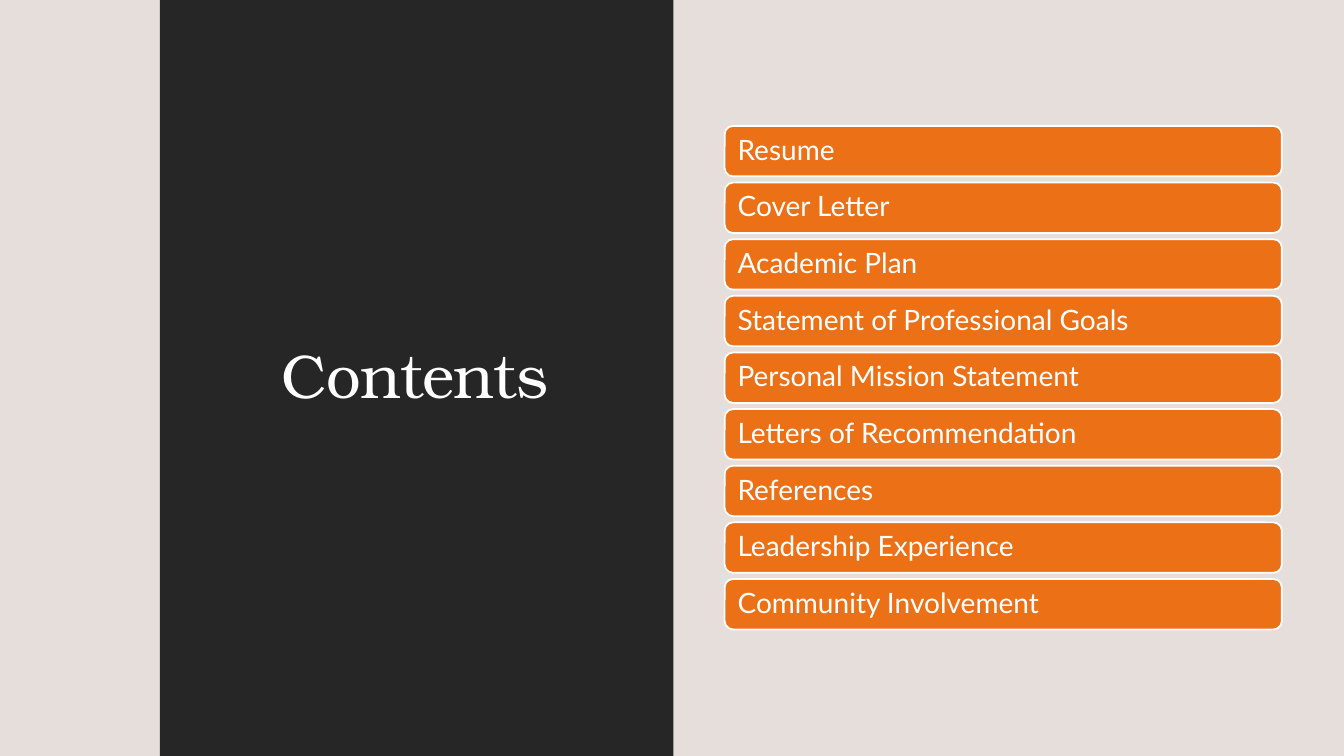
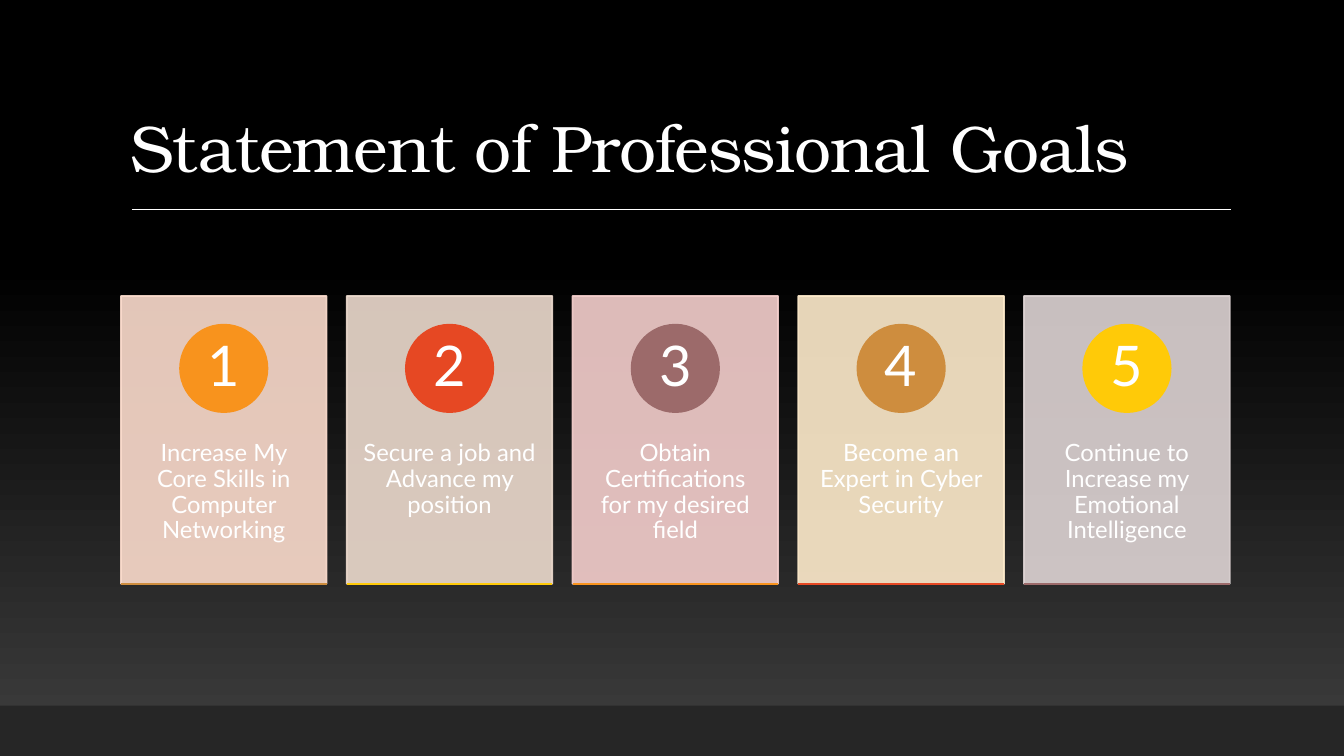
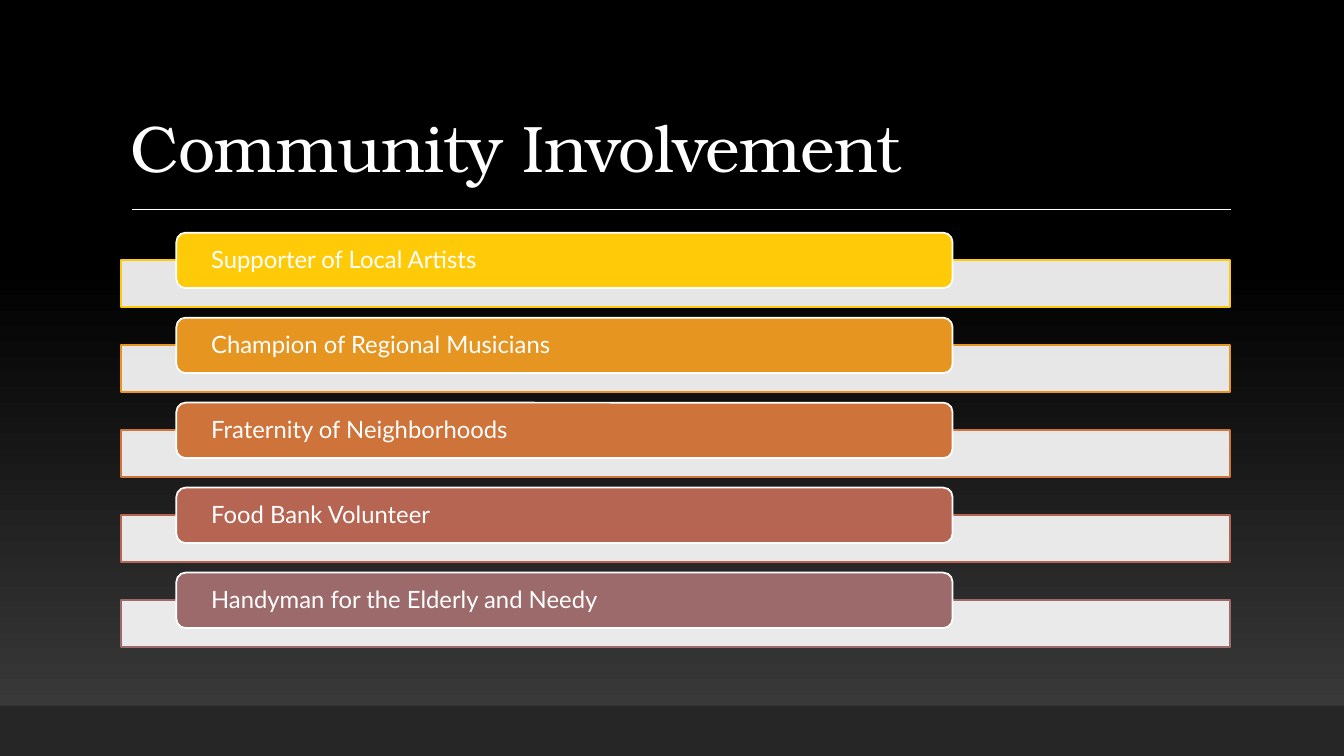
from lxml.etree import SubElement
from pptx import Presentation
from pptx.dml.color import RGBColor
from pptx.enum.shapes import MSO_CONNECTOR, MSO_SHAPE
from pptx.enum.text import MSO_ANCHOR as Anchor, PP_ALIGN as Align
from pptx.oxml.ns import qn
from pptx.util import Pt

WHITE = RGBColor(0xFF, 0xFF, 0xFF)
BLACK = RGBColor(0x00, 0x00, 0x00)
CHARCOAL = RGBColor(0x26, 0x26, 0x26)
GRAY = RGBColor(0x3F, 0x3F, 0x3F)
STONE = RGBColor(0xE5, 0xDE, 0xDB)
PUMPKIN = RGBColor(0xEC, 0x70, 0x16)
ORANGE = RGBColor(0xF8, 0x93, 0x1D)
RED = RGBColor(0xE6, 0x48, 0x23)
MAUVE = RGBColor(0x9C, 0x6A, 0x6A)
BRONZE = RGBColor(0xCE, 0x8D, 0x3E)
YELLOW = RGBColor(0xFF, 0xCA, 0x08)
AMBER = RGBColor(0xE6, 0x95, 0x20)
COPPER = RGBColor(0xCE, 0x73, 0x39)
BRICK = RGBColor(0xB5, 0x65, 0x51)
PEACH = RGBColor(0xFC, 0xDC, 0xCD)
SAND = RGBColor(0xED, 0xDB, 0xCE)
PINK = RGBColor(0xF5, 0xCF, 0xCD)
CREAM = RGBColor(0xFF, 0xEC, 0xCC)
LILAC = RGBColor(0xDE, 0xD4, 0xD4)

TITLE_FONT, BODY_FONT = "TeX Gyre Bonum", "Lato"
SLIDE_WIDTH, SLIDE_HEIGHT = 960, 540
CONTENT_LEFT, CONTENT_WIDTH = 86.4, 792
TITLE_INSETS = (7.2, 3.6, 7.2, 3.6)
OUTLINE = 1.25

CONTENTS = [
    "Resume",
    "Cover Letter",
    "Academic Plan",
    "Statement of Professional Goals",
    "Personal Mission Statement",
    "Letters of Recommendation",
    "References",
    "Leadership Experience",
    "Community Involvement",
]

# Text, card colour, circle colour, bottom line colour
GOALS = [
    ("Increase My Core Skills in Computer Networking", PEACH, ORANGE, BRONZE),
    ("Secure a job and Advance my position", SAND, RED, YELLOW),
    ("Obtain Certifications for my desired field", PINK, MAUVE, ORANGE),
    ("Become an Expert in Cyber Security", CREAM, BRONZE, RED),
    ("Continue to Increase my Emotional Intelligence", LILAC, YELLOW, MAUVE),
]

ACTIVITIES = [
    ("Supporter of Local Artists", YELLOW),
    ("Champion of Regional Musicians", AMBER),
    ("Fraternity of Neighborhoods", COPPER),
    ("Food Bank Volunteer", BRICK),
    ("Handyman for the Elderly and Needy", MAUVE),
]


def add_box(slide, kind, left, top, width, height, fill, line=None):
    shape = slide.shapes.add_shape(kind, Pt(left), Pt(top), Pt(width), Pt(height))
    shape.shadow.inherit = False
    shape.fill.solid()
    shape.fill.fore_color.rgb = fill
    if line is None:
        shape.line.fill.background()
    else:
        shape.line.color.rgb = line
        shape.line.width = Pt(OUTLINE)
    return shape


def fade(properties):
    """Make every colour inside the XML element 90% opaque."""
    for color in list(properties.iter(qn("a:srgbClr"))):
        SubElement(color, qn("a:alpha")).set("val", "90000")


def add_line(slide, left, right, y, color, width):
    line = slide.shapes.add_connector(
        MSO_CONNECTOR.STRAIGHT, Pt(left), Pt(y), Pt(right), Pt(y))
    line.line.color.rgb = color
    line.line.width = Pt(width)
    SubElement(line._element.spPr, qn("a:effectLst"))


def write(shape, text, size, font=BODY_FONT, align=Align.LEFT,
          anchor=Anchor.MIDDLE, insets=(0, 0, 0, 0)):
    """Put one white paragraph in the shape; insets are left, top, right, bottom."""
    frame = shape.text_frame
    frame.word_wrap = True
    frame.vertical_anchor = anchor
    (frame.margin_left, frame.margin_top,
     frame.margin_right, frame.margin_bottom) = map(Pt, insets)
    paragraph = frame.paragraphs[0]
    paragraph.alignment = align
    paragraph.line_spacing = 0.9
    run = paragraph.add_run()
    run.text = text
    run.font.name = font
    run.font.size = Pt(size)
    run.font.color.rgb = WHITE
    return run


def add_title(slide, text, size, left, top, width, height, align, anchor):
    box = slide.shapes.add_textbox(Pt(left), Pt(top), Pt(width), Pt(height))
    run = write(box, text, size, TITLE_FONT, align, anchor, TITLE_INSETS)
    run._r.get_or_add_rPr().set("spc", "-50")


def add_slide(presentation):
    return presentation.slides.add_slide(presentation.slide_layouts[6])


def add_dark_slide(presentation, title):
    """Add a slide with the dark gradient, ruled title and footer band."""
    slide = add_slide(presentation)
    fill = slide.background.fill
    fill.gradient()
    fill.gradient_angle = 90
    for stop, position, color in zip(fill.gradient_stops, (0, 0.65), (GRAY, BLACK)):
        stop.position = position
        stop.color.rgb = color
    add_title(slide, title, 47, CONTENT_LEFT, 22.3, CONTENT_WIDTH, 114.5,
              Align.LEFT, Anchor.BOTTOM)
    add_line(slide, 94.3, 879, 149.6, WHITE, 1)
    add_box(slide, MSO_SHAPE.RECTANGLE, 0, 504, SLIDE_WIDTH, 36, CHARCOAL)
    return slide


def build_contents(presentation):
    slide = add_slide(presentation)
    slide.background.fill.solid()
    slide.background.fill.fore_color.rgb = STONE
    add_box(slide, MSO_SHAPE.RECTANGLE, 114.3, 0, 366.7, SLIDE_HEIGHT, CHARCOAL)
    add_title(slide, "Contents", 44, 150, 88, 293, 365, Align.CENTER, Anchor.MIDDLE)
    for index, text in enumerate(CONTENTS):
        entry = add_box(slide, MSO_SHAPE.ROUNDED_RECTANGLE,
                        517.6, 90 + index * 40.45, 398, 36, PUMPKIN, WHITE)
        write(entry, text, 20, insets=(7.5, 0, 7.5, 0))


def build_goals(presentation):
    slide = add_dark_slide(presentation, "Statement of Professional Goals")
    top, height, gap, diameter = 211.4, 205.6, 14.4, 61.2 + OUTLINE
    width = (CONTENT_WIDTH - gap * (len(GOALS) - 1)) / len(GOALS)
    for index, (text, card_color, circle_color, line_color) in enumerate(GOALS):
        left = CONTENT_LEFT + index * (width + gap)
        card = add_box(slide, MSO_SHAPE.RECTANGLE, left, top, width, height,
                       card_color, card_color)
        fade(card._element.spPr)
        write(card, text, 17, align=Align.CENTER, anchor=Anchor.TOP,
              insets=(11.5, 103.7, 11.5, 0))
        circle = add_box(slide, MSO_SHAPE.OVAL, left + (width - diameter) / 2,
                         top + 20.5, diameter, diameter, circle_color, circle_color)
        write(circle, str(index + 1), 40, align=Align.CENTER)
        add_line(slide, left, left + width, top + height, line_color, OUTLINE)


def build_activities(presentation):
    slide = add_dark_slide(presentation, "Community Involvement")
    for index, (text, color) in enumerate(ACTIVITIES):
        top = 166.2 + index * 60.7
        bar = add_box(slide, MSO_SHAPE.RECTANGLE, CONTENT_LEFT, top + 19.6,
                      CONTENT_WIDTH, 33.6, WHITE, color)
        fade(bar._element.spPr.find(qn("a:solidFill")))
        label = add_box(slide, MSO_SHAPE.ROUNDED_RECTANGLE, 126, top, 554.4, 39.6,
                        color, WHITE)
        write(label, text, 17, insets=(22.9, 0, 22.9, 0))


def main():
    presentation = Presentation()
    presentation.slide_width = Pt(SLIDE_WIDTH)
    presentation.slide_height = Pt(SLIDE_HEIGHT)
    build_contents(presentation)
    build_goals(presentation)
    build_activities(presentation)
    presentation.save("out.pptx")


if __name__ == "__main__":
    main()
